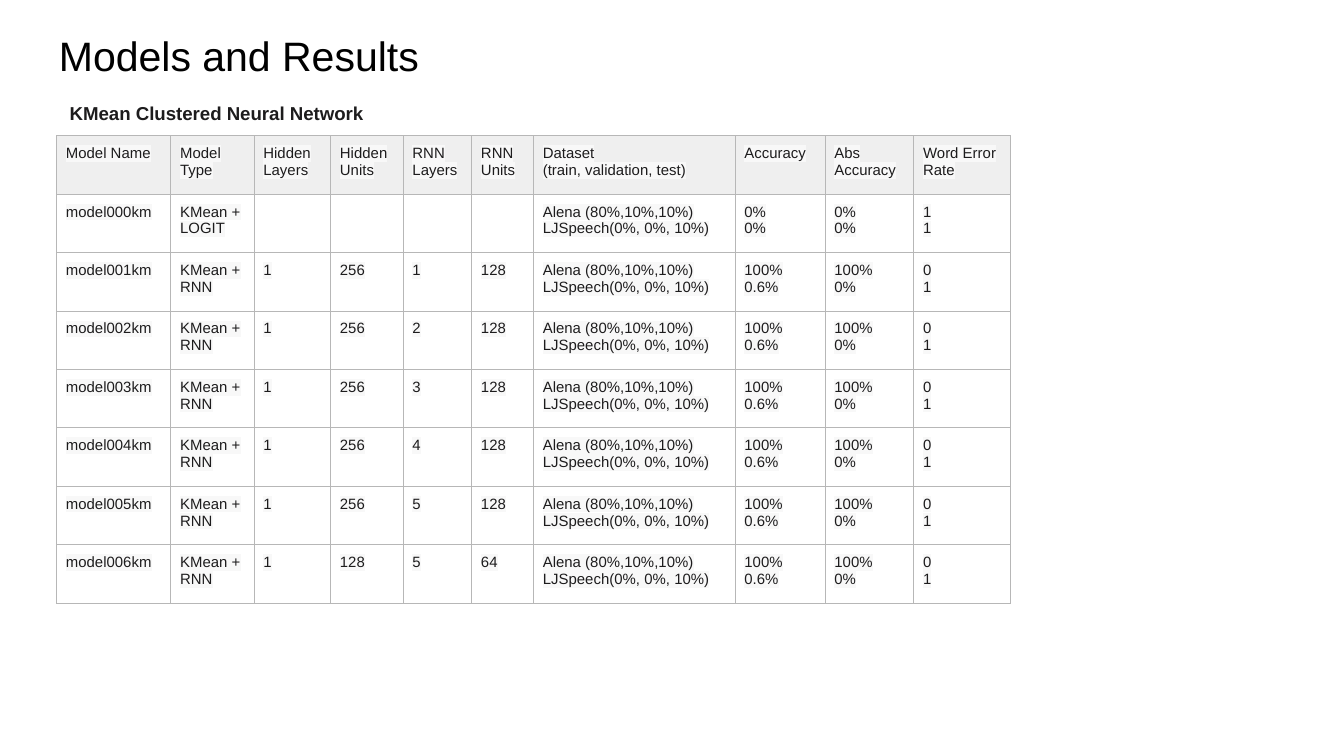
from lxml.etree import SubElement
from pptx import Presentation
from pptx.dml.color import RGBColor
from pptx.enum.text import MSO_ANCHOR as Anchor
from pptx.oxml.ns import qn
from pptx.util import Inches, Pt

COLORS = {
    "title": "000000",
    "text": "1D1C1D",
    "highlight": "F8F8F8",
    "header": "EFEFEF",
    "border": "B7B7B7",
}
COLUMN_WIDTHS = [0.85, 0.62, 0.57, 0.54, 0.51, 0.46, 1.5, 0.67, 0.66, 0.72]
ROW_HEIGHT = Inches(3.48) // 8
LEFT = Inches(0.42)
CELL_MARGIN = Inches(0.07)
DATASET = "Alena (80%,10%,10%)\nLJSpeech(0%, 0%, 10%)"

header = ["Model Name", "Model Type", "Hidden Layers", "Hidden Units", "RNN Layers", "RNN Units",
          "Dataset\n(train, validation, test)", "Accuracy", "Abs Accuracy", "Word Error Rate"]
logit_row = ["model000km", "KMean + LOGIT", "", "", "", "", DATASET, "0%\n0%", "0%\n0%", "1\n1"]
rows = [header, logit_row]
network_sizes = [("256", "1", "128"), ("256", "2", "128"), ("256", "3", "128"),
                 ("256", "4", "128"), ("256", "5", "128"), ("128", "5", "64")]
for number, (hidden_units, rnn_layers, rnn_units) in enumerate(network_sizes, start=1):
    rows.append([f"model00{number}km", "KMean + RNN", "1", hidden_units, rnn_layers, rnn_units,
                 DATASET, "100%\n0.6%", "100%\n0%", "0\n1"])


def format_runs(text_frame, size, color, bold=False):
    for paragraph in text_frame.paragraphs:
        for run in paragraph.runs:
            run.font.name = "Arial"
            run.font.size = Pt(size)
            run.font.bold = bold
            run.font.color.rgb = RGBColor.from_string(COLORS[color])


def add_color(parent, tag, color):
    element = SubElement(parent, qn(tag))
    SubElement(element, qn("a:srgbClr"), val=COLORS[color])
    return element


presentation = Presentation()
presentation.slide_width = Inches(10)
presentation.slide_height = presentation.slide_width * 9 // 16
slide = presentation.slides.add_slide(presentation.slide_layouts[6])

headings = [
    ("Models and Results", (0.34, 0.13, 9.32, 0.63), 22, "title", False, 1),
    ("KMean Clustered Neural Network", (0.42, 0.64, 3.28, 0.37), 10, "text", True, 1.15),
]
for text, box, size, color, bold, spacing in headings:
    text_frame = slide.shapes.add_textbox(*map(Inches, box)).text_frame
    text_frame.word_wrap = True
    text_frame.vertical_anchor = Anchor.TOP
    text_frame.margin_left = text_frame.margin_right = Inches(0.1)
    text_frame.margin_top = text_frame.margin_bottom = Inches(0.1)
    text_frame.text = text
    text_frame.paragraphs[0].line_spacing = spacing
    format_runs(text_frame, size, color, bold)

table = slide.shapes.add_table(
    len(rows), len(COLUMN_WIDTHS), LEFT, Inches(1.01),
    Inches(sum(COLUMN_WIDTHS)), ROW_HEIGHT * len(rows)).table
for column, width in zip(table.columns, COLUMN_WIDTHS):
    column.width = Inches(width)

for row_index, values in enumerate(rows):
    table.rows[row_index].height = ROW_HEIGHT
    for column_index, value in enumerate(values):
        cell = table.cell(row_index, column_index)
        cell.margin_left = cell.margin_right = CELL_MARGIN
        cell.margin_top = cell.margin_bottom = CELL_MARGIN
        cell.text_frame.text = value
        format_runs(cell.text_frame, 8, "text")
        for paragraph in cell.text_frame.paragraphs:
            paragraph.font.size = Pt(8)
            for run in paragraph.runs:
                properties = run.font.fill._xPr
                highlight = add_color(properties, "a:highlight", "highlight")
                properties.find(qn("a:solidFill")).addnext(highlight)
        cell_properties = cell._tc.get_or_add_tcPr()
        for side in ("a:lnL", "a:lnR", "a:lnT", "a:lnB"):
            border = SubElement(cell_properties, qn(side), w=str(Pt(0.5)))
            add_color(border, "a:solidFill", "border")
        if row_index == 0:
            cell.fill.solid()
            cell.fill.fore_color.rgb = RGBColor.from_string(COLORS["header"])
        else:
            cell.fill.background()

presentation.save("out.pptx")
